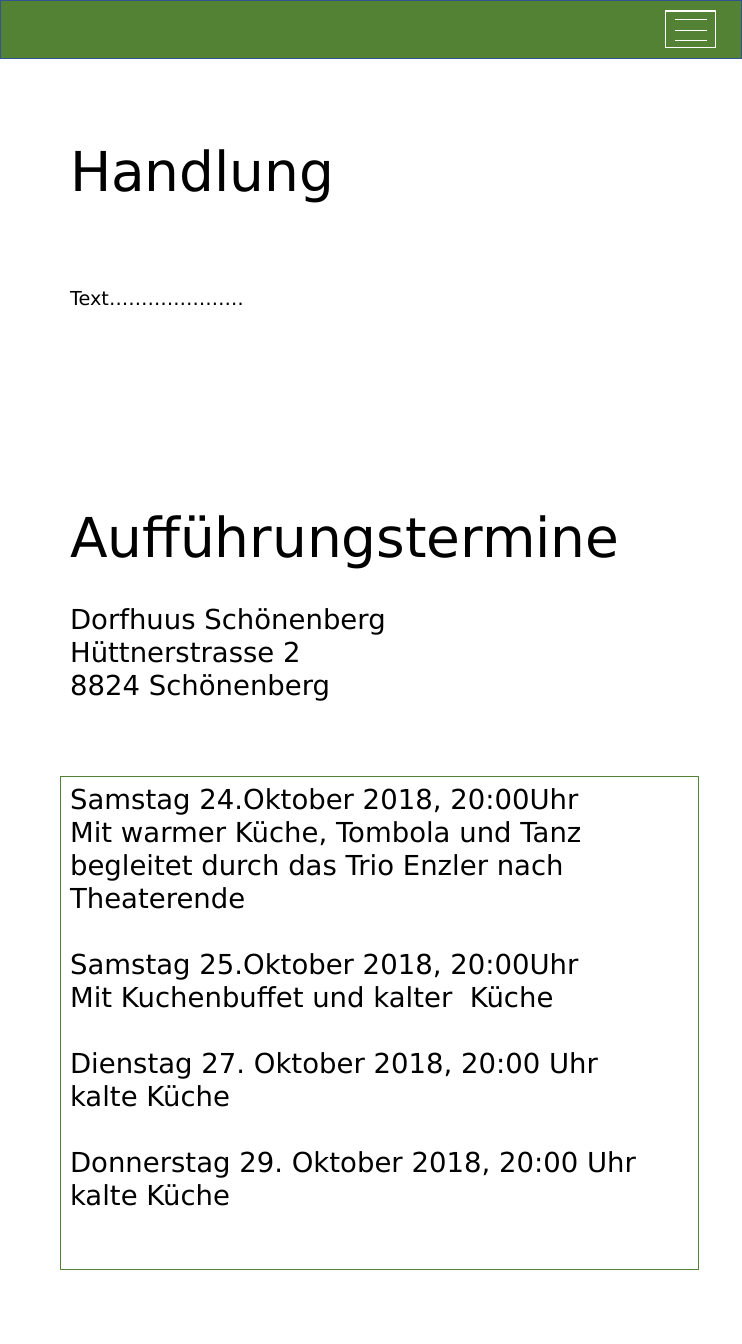
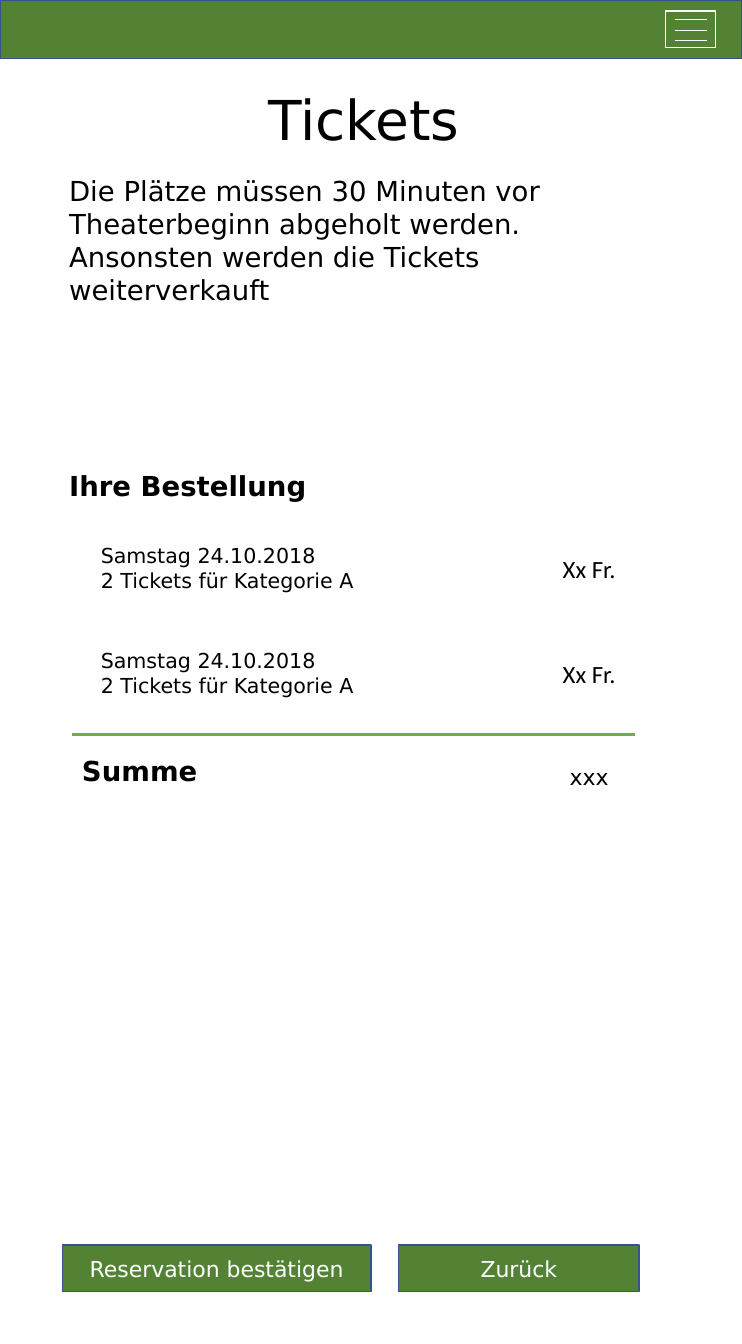
import pptx
import pptx.dml.color
import pptx.enum.shapes
import pptx.enum.text
import pptx.oxml
import pptx.util

Inches = pptx.util.Inches
Pt = pptx.util.Pt
RGBColor = pptx.dml.color.RGBColor
ALIGN = pptx.enum.text.PP_ALIGN
ANCHOR = pptx.enum.text.MSO_ANCHOR

GREEN = RGBColor(0x54, 0x82, 0x35)
LIGHT_GREEN = RGBColor(0x70, 0xAD, 0x47)
BLUE = RGBColor(0x32, 0x54, 0x91)
WHITE = RGBColor(0xFF, 0xFF, 0xFF)
BLACK = RGBColor(0, 0, 0)

FONT = "DejaVu Sans"
PRICE_FONT = "Calibri"
TITLE_SIZE = 40
BODY_SIZE = 20
BLANK_LINE = 24
WIDTH, HEIGHT = 7.5, 13.58

VENUE = ["Dorfhuus Schönenberg", "Hüttnerstrasse 2", "8824 Schönenberg"]
SHOWS = [
    ("Samstag 24.Oktober 2018, 20:00Uhr",
     "Mit warmer Küche, Tombola und Tanz begleitet durch das Trio Enzler nach Theaterende"),
    ("Samstag 25.Oktober 2018, 20:00Uhr", "Mit Kuchenbuffet und kalter  Küche"),
    ("Dienstag 27. Oktober 2018, 20:00 Uhr", "kalte Küche"),
    ("Donnerstag 29. Oktober 2018, 20:00 Uhr", "kalte Küche"),
]
ORDER = [("Samstag 24.10.2018", "2 Tickets für Kategorie A", "Xx Fr.")] * 2
PICKUP_NOTE = ("Die Plätze müssen 30 Minuten vor Theaterbeginn abgeholt werden. "
               "Ansonsten werden die Tickets weiterverkauft")


def write(frame, text, size=BODY_SIZE, font=FONT, color=BLACK, bold=False,
          align=ALIGN.LEFT, space_before=0):
    """Put one formatted paragraph into a frame, after any text already there."""
    paragraph = frame.add_paragraph() if frame.text else frame.paragraphs[0]
    paragraph.alignment = align
    paragraph.space_before = Pt(space_before)
    run = paragraph.add_run()
    run.text = text
    run.font.size = Pt(size)
    run.font.name = font
    run.font.bold = bold
    run.font.color.rgb = color


def add_frame(slide, box, anchor=ANCHOR.TOP):
    """Add a wrapping text box and return its text frame."""
    frame = slide.shapes.add_textbox(*map(Inches, box)).text_frame
    frame.word_wrap = True
    frame.vertical_anchor = anchor
    return frame


def add_rectangle(slide, box, fill=GREEN, line=BLUE, line_width=1):
    """Add a flat rectangle; no fill when fill is None."""
    shape = slide.shapes.add_shape(
        pptx.enum.shapes.MSO_SHAPE.RECTANGLE, *map(Inches, box))
    shape.shadow.inherit = False
    if fill is None:
        shape.fill.background()
    else:
        shape.fill.solid()
        shape.fill.fore_color.rgb = fill
    shape.line.color.rgb = line
    shape.line.width = Pt(line_width)
    return shape


def add_rule(slide, left, top, width, color, line_width):
    """Draw a horizontal line without shadow."""
    rule = slide.shapes.add_connector(
        pptx.enum.shapes.MSO_CONNECTOR.STRAIGHT,
        *map(Inches, (left, top, left + width, top)))
    rule.line.color.rgb = color
    rule.line.width = Pt(line_width)
    rule._element.spPr.append(pptx.oxml.parse_xml(
        '<a:effectLst xmlns:a="http://schemas.openxmlformats.org/drawingml/2006/main"/>'))


def add_header(slide, box):
    """Draw the green band with the menu button at its right end."""
    left, top, width, height = box
    add_rectangle(slide, box)
    button_left, button_top = left + width - 0.77, top + 0.11
    add_rectangle(slide, (button_left, button_top, 0.5, 0.37), line=WHITE)
    for row in range(3):
        add_rule(slide, button_left + 0.09, button_top + 0.09 + row * 0.105, 0.33, WHITE, 0.5)


def add_plot(slide, box):
    """Write the plot heading and its text."""
    left, top, width, height = box
    write(add_frame(slide, (left, top, width, 0.77)), "Handlung", size=TITLE_SIZE)
    write(add_frame(slide, (left, top + 1.51, width, height - 1.51)), "Text" + "…" * 7, size=14)


def add_venue(slide, box):
    """Write the dates heading and the address of the venue."""
    frame = add_frame(slide, box)
    write(frame, "Aufführungstermine", size=TITLE_SIZE)
    for index, line in enumerate(VENUE):
        write(frame, line, space_before=0 if index else BLANK_LINE)


def add_shows(slide, box):
    """List the shows in a green outlined box."""
    frame = add_rectangle(slide, box, fill=None, line=GREEN, line_width=0.75).text_frame
    frame.word_wrap = True
    frame.vertical_anchor = ANCHOR.TOP
    for index, (date, catering) in enumerate(SHOWS):
        write(frame, date, space_before=BLANK_LINE if index else 0)
        write(frame, catering)


def add_order(slide, box):
    """Set out the ordered tickets, their prices and the sum."""
    left, top, width, height = box
    price_left, price_width = left + width - 0.95, 0.95
    write(add_frame(slide, (left, top, 3.12, 0.71), ANCHOR.MIDDLE), "Ihre Bestellung", bold=True)
    for index, (date, tickets, price) in enumerate(ORDER):
        row_top = top + 0.89 + index * 1.06
        frame = add_frame(slide, (left + 0.32, row_top, 3.51, 0.61))
        write(frame, date, size=15)
        write(frame, tickets, size=15)
        write(add_frame(slide, (price_left, row_top, price_width, 0.61), ANCHOR.MIDDLE),
              price, size=18, font=PRICE_FONT, align=ALIGN.CENTER)
    add_rule(slide, left + 0.13, top + 2.87, width - 0.14, LIGHT_GREEN, 2)
    write(add_frame(slide, (left + 0.13, top + 2.96, 3.12, 0.56), ANCHOR.MIDDLE),
          "Summe", bold=True)
    write(add_frame(slide, (price_left, top + 3.07, price_width, 0.45), ANCHOR.MIDDLE),
          "xxx", size=16, align=ALIGN.CENTER)


def add_buttons(slide, box):
    """Place the confirm and back buttons at the two ends of the box."""
    left, top, width, height = box
    back_width = 2.43
    for label, button_left, button_width in (
            ("Reservation bestätigen", left, 3.12),
            ("Zurück", left + width - back_width, back_width)):
        frame = add_rectangle(slide, (button_left, top, button_width, height)).text_frame
        frame.vertical_anchor = ANCHOR.MIDDLE
        write(frame, label, size=16, color=WHITE, align=ALIGN.CENTER)


def add_page(presentation):
    """Add a blank slide with the shared header."""
    slide = presentation.slides.add_slide(presentation.slide_layouts[6])
    add_header(slide, (0, 0, WIDTH, 0.59))
    return slide


def build_dates_slide(presentation):
    """Build the slide about the plot and the show dates."""
    slide = add_page(presentation)
    left, width = 0.61, 6.45
    add_plot(slide, (left, 1.33, width, 2.08))
    add_venue(slide, (left, 5.03, width, 2.12))
    add_shows(slide, (left, 7.85, width, 4.98))


def build_tickets_slide(presentation):
    """Build the slide with the ticket order."""
    slide = add_page(presentation)
    write(add_frame(slide, (0.63, 0.82, 6.1, 0.77)), "Tickets",
          size=TITLE_SIZE, align=ALIGN.CENTER)
    write(add_frame(slide, (0.6, 1.71, 6.13, 1.45)), PICKUP_NOTE)
    add_order(slide, (0.6, 4.55, 5.83, 3.52))
    add_buttons(slide, (0.63, 12.58, 5.83, 0.47))


def main():
    """Build and save the presentation."""
    presentation = pptx.Presentation()
    presentation.slide_width = Inches(WIDTH)
    presentation.slide_height = Inches(HEIGHT)
    build_dates_slide(presentation)
    build_tickets_slide(presentation)
    presentation.save("out.pptx")


main()
